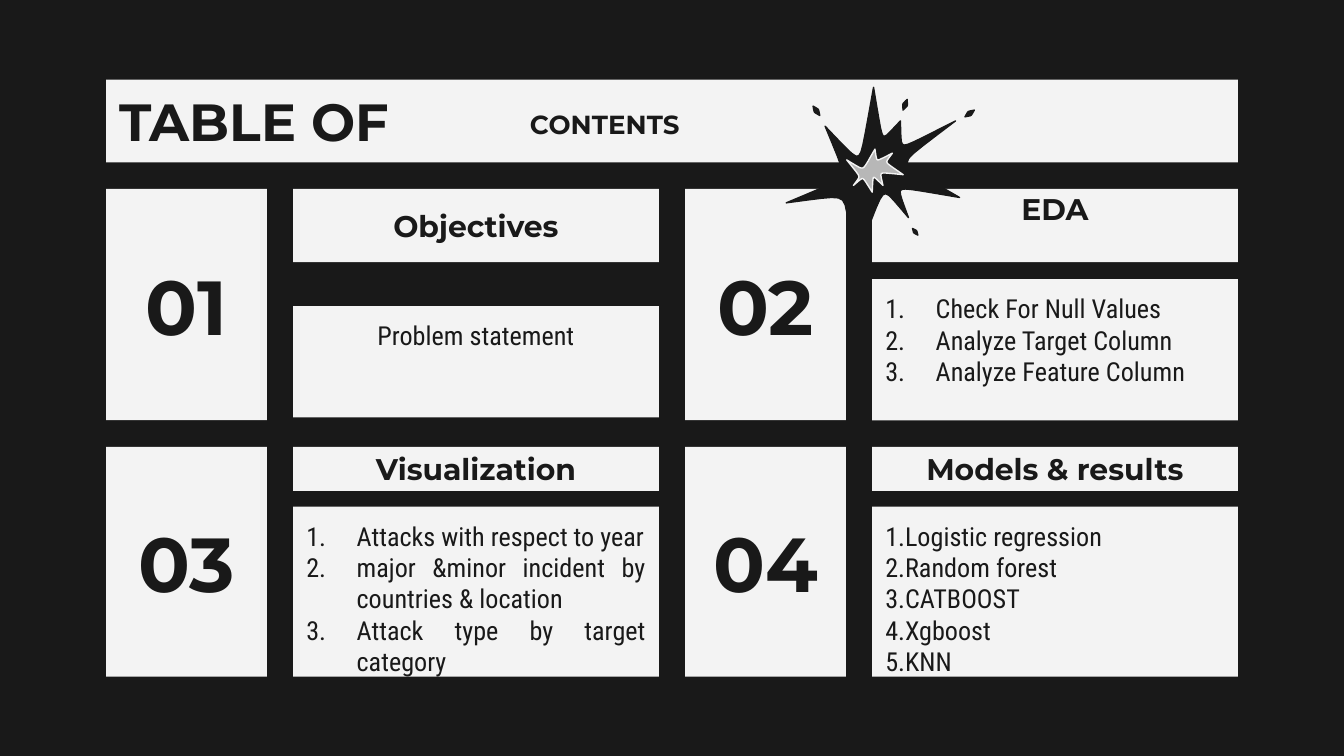
"""Build a dark table-of-contents slide with four numbered sections and an ink splash."""
from lxml import etree
from pptx import Presentation
from pptx.dml.color import RGBColor
from pptx.enum import shapes, text
from pptx.oxml.ns import qn
from pptx.util import Pt

DARK = RGBColor(0x19, 0x19, 0x19)
PALE = RGBColor(0xF3, 0xF3, 0xF3)
GRAY = RGBColor(0xB7, 0xB7, 0xB7)
HEAD, BODY = "Montserrat", "Roboto Condensed"
MID, TOP = text.MSO_ANCHOR.MIDDLE, text.MSO_ANCHOR.TOP
LEFT, CENTER, JUST = text.PP_ALIGN.LEFT, text.PP_ALIGN.CENTER, text.PP_ALIGN.JUSTIFY

PARTS = [
    {"num": "01", "name": "Objectives", "body_y": 164, "body_h": 59.7,
     "align": CENTER, "lines": ["Problem statement"]},
    {"num": "02", "name": "EDA", "body_y": 149.5, "body_h": 75.7, "raised": True,
     "list": True, "lines": ["Check For Null Values", "Analyze Target Column",
                             "Analyze Feature Column"]},
    {"num": "03", "name": "Visualization", "body_y": 271.4, "body_h": 91.2,
     "list": True, "lines": ["Attacks with respect to year",
                             "major &minor incident by countries & location",
                             "Attack type by target category"]},
    {"num": "04", "name": "Models & results", "body_y": 271.4, "body_h": 91.2,
     "lines": ["1.Logistic regression", "2.Random forest", "3.CATBOOST",
               "4.Xgboost", "5.KNN"]},
]
EDGE, GAP, NUM_W, NAME_W = 56.8, 14, 86.2, 196
ROWS = [{"y": 101.2, "h": 124, "name_h": 39.2}, {"y": 239.4, "h": 123.2, "name_h": 23.6}]
FULL_W = 2 * (NUM_W + NAME_W) + 3 * GAP

UNIT = 0.72
SPLASH = [(650, 65), (657, 101), (670, 90), (673, 108), (711, 90), (675, 121),
          (714, 147), (671, 141), (676, 162), (657, 145), (634, 202), (627, 149),
          (585, 151), (626, 131), (614, 94), (639, 116)]
SPARK = [(651, 111), (653, 119), (664, 114), (660, 121), (672, 130), (656, 129),
         (657, 138), (650, 132), (649, 143), (642, 133), (635, 138), (639, 131),
         (630, 119), (642, 125)]
DROPS = [((675, 74), (672, 82)), ((605, 79), (610, 86)),
         ((725, 82), (718, 87)), ((679, 170), (683, 175))]


def place(shape, x, y, w, h):
    shape.left, shape.top, shape.width, shape.height = Pt(x), Pt(y), Pt(w), Pt(h)


def paint(shape, fill):
    shape.fill.solid()
    shape.fill.fore_color.rgb = fill


def number(para):
    props = para._p.get_or_add_pPr()
    props.set("marL", str(Pt(27)))
    props.set("indent", str(Pt(-27)))
    etree.SubElement(props, qn("a:buFont"), typeface=BODY)
    etree.SubElement(props, qn("a:buAutoNum"), type="arabicPeriod")


def write(shape, lines, size, font=HEAD, align=CENTER, anchor=MID, inset=7.2, listed=False):
    frame = shape.text_frame
    frame.word_wrap = True
    frame.auto_size = text.MSO_AUTO_SIZE.NONE
    frame.vertical_anchor = anchor
    frame.margin_left = frame.margin_right = Pt(7.2)
    frame.margin_top = frame.margin_bottom = Pt(inset)
    for i, line in enumerate(lines):
        para = frame.add_paragraph() if i else frame.paragraphs[0]
        para.alignment = align
        para.space_before = Pt(0)
        if listed:
            number(para)
        run = para.add_run()
        run.text = line
        run.font.name, run.font.size, run.font.bold = font, Pt(size), font == HEAD
        run.font.color.rgb = DARK


def card(slide, x, y, w, h, lines, size, **style):
    box = slide.shapes.add_shape(shapes.MSO_SHAPE.RECTANGLE, Pt(x), Pt(y), Pt(w), Pt(h))
    box.shadow.inherit = False
    box.line.fill.background()
    paint(box, PALE)
    write(box, lines, size, **style)


def drop(head, tail):
    (x, y), (p, q) = head, tail
    mid_x, mid_y, off_x, off_y = (x + p) / 2, (y + q) / 2, (q - y) / 5, (x - p) / 5
    return [head, (mid_x + off_x, mid_y + off_y), tail, (mid_x - off_x, mid_y - off_y)]


def curve(star, steps=10):
    """Bend a quartic arc from each tip through the valley to the next tip."""
    dots = []
    for i in range(0, len(star), 2):
        tip, dip, end = star[i], star[i + 1], star[(i + 2) % len(star)]
        for k in range(steps):
            t = k / steps
            a, b = (1 - t) ** 4, t ** 4
            dots.append(tuple(Pt(UNIT * (a * s + b * e + (1 - a - b) * (16 * d - s - e) / 14))
                              for s, d, e in zip(tip, dip, end)))
    return dots


def burst(slide, stars, fill, line):
    first, *rest = [curve(star) for star in stars]
    pen = slide.shapes.build_freeform(*first[0])
    pen.add_line_segments(first[1:], close=True)
    for dots in rest:
        pen.move_to(*dots[0])
        pen.add_line_segments(dots[1:], close=True)
    shape = pen.convert_to_shape()
    shape.shadow.inherit = False
    paint(shape, fill)
    shape.line.color.rgb = line
    shape.line.width = Pt(0.75)


def main():
    deck = Presentation()
    deck.slide_width, deck.slide_height = Pt(720), Pt(405)
    slide = deck.slides.add_slide(deck.slide_layouts[5])
    paint(slide.background, DARK)

    title = slide.shapes.title
    place(title, EDGE, 42.6, FULL_W, 44.4)
    paint(title, PALE)
    write(title, ["TABLE OF"], 28, align=LEFT)
    label = slide.shapes.add_textbox(Pt(234.8), Pt(54.8), Pt(178.4), Pt(20))
    write(label, ["CONTENTS"], 14, anchor=TOP, inset=3.6)

    for i, part in enumerate(PARTS):
        row = ROWS[i // 2]
        x = EDGE + i % 2 * (NUM_W + NAME_W + 2 * GAP)
        side = x + NUM_W + GAP
        lift = {"anchor": TOP, "inset": 1} if part.get("raised") else {}
        card(slide, x, row["y"], NUM_W, row["h"], [part["num"]], 41)
        card(slide, side, row["y"], NAME_W, row["name_h"], [part["name"]], 16, **lift)
        card(slide, side, part["body_y"], NAME_W, part["body_h"], part["lines"], 14, font=BODY,
             align=part.get("align", JUST), anchor=TOP, listed=part.get("list", False))

    burst(slide, [SPLASH] + [drop(*ends) for ends in DROPS], DARK, DARK)
    burst(slide, [SPARK], GRAY, PALE)
    deck.save("out.pptx")


if __name__ == "__main__":
    main()
